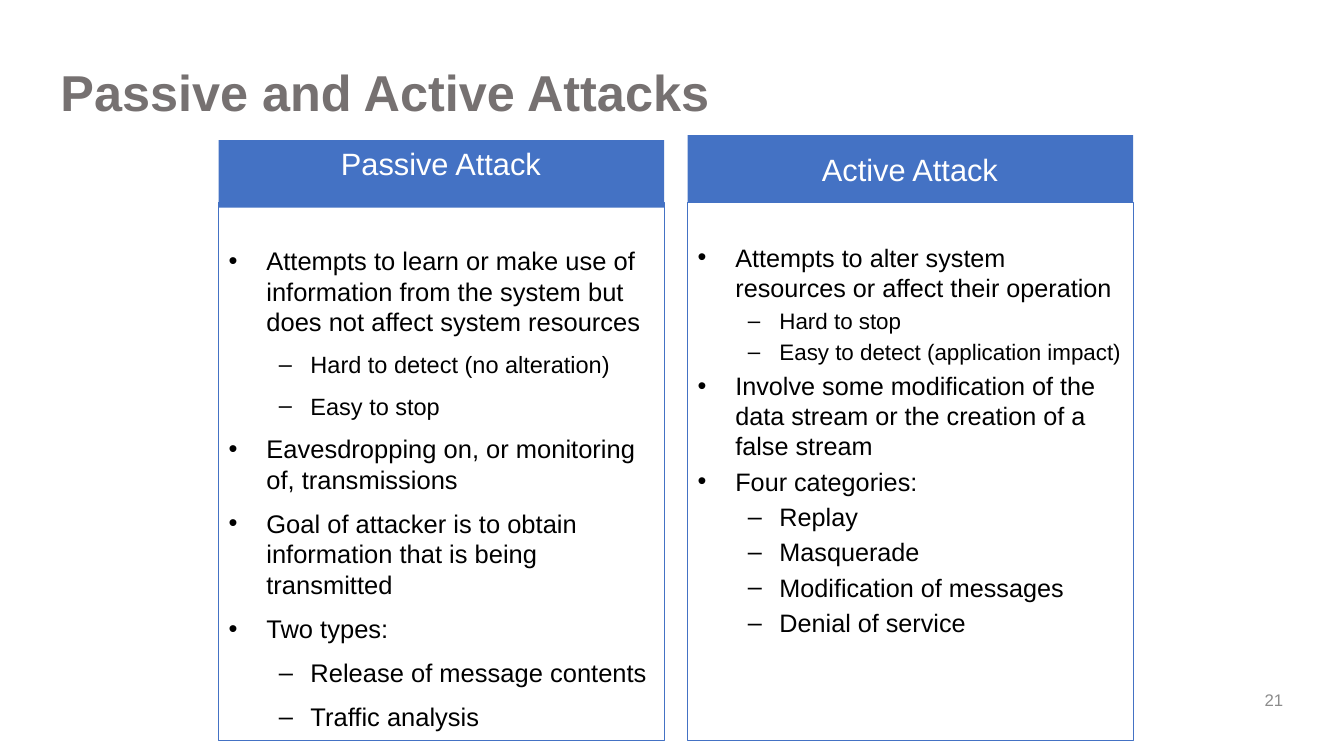
import pptx
import pptx.util
import pptx.dml.color
import pptx.enum.shapes
import pptx.enum.text
import pptx.oxml.ns
import lxml.etree

Pt = pptx.util.Pt
RGB = pptx.dml.color.RGBColor.from_string
ALIGN = pptx.enum.text.PP_ALIGN
ANCHOR = pptx.enum.text.MSO_ANCHOR

TITLE = "Passive and Active Attacks"
PAGE_NUMBER = "21"

# Each point is (outline level, size name, text).
COLUMNS = [
    {
        "heading": "Passive Attack", "anchor": ANCHOR.TOP, "heading_top": 100.1,
        "sizes": {"main": 18.2, "minor": 16.8}, "space_after": 6, "inset": 30.3,
        "points": [
            (0, "main", "Attempts to learn or make use of information from the system "
                        "but does not affect system resources"),
            (1, "minor", "Hard to detect (no alteration)"),
            (1, "minor", "Easy to stop"),
            (0, "main", "Eavesdropping on, or monitoring of, transmissions"),
            (0, "main", "Goal of attacker is to obtain information that is being transmitted"),
            (0, "main", "Two types:"),
            (1, "main", "Release of message contents"),
            (1, "main", "Traffic analysis"),
        ],
    },
    {
        "heading": "Active Attack", "anchor": ANCHOR.MIDDLE, "heading_top": 96.5,
        "sizes": {"main": 18, "minor": 16}, "space_after": 0, "inset": 28,
        "points": [
            (0, "main", "Attempts to alter system resources or affect their operation"),
            (1, "minor", "Hard to stop"),
            (1, "minor", "Easy to detect (application impact)"),
            (0, "main", "Involve some modification of the data stream or the creation "
                        "of a false stream"),
            (0, "main", "Four categories:"),
            (1, "main", "Replay"),
            (1, "main", "Masquerade"),
            (1, "main", "Modification of messages"),
            (1, "main", "Denial of service"),
        ],
    },
]

THEME = {
    "font": "Arial",
    "blue": "4472C4", "white": "FFFFFF", "black": "000000",
    "title_gray": "767171", "number_gray": "8C8C8C",
    "title": 36, "heading": 22, "number": 12,
}
BULLETS = [("•", 27, -27), ("–", 58.5, -22.5)]  # character, margin, indent
COLUMN_LEFT, COLUMN_STEP, COLUMN_WIDTH = 156.2, 335, 318.2
HEADING_HEIGHT, BODY_TOP, BODY_HEIGHT = 48.2, 144.9, 384.3
SPACE_BEFORE = 0.2  # share of the type size


def assign(obj, values):
    for name, value in values.items():
        setattr(obj, name, value)


def set_frame(tf, anchor, top=3.6):
    assign(tf, {
        "word_wrap": True, "auto_size": pptx.enum.text.MSO_AUTO_SIZE.NONE,
        "vertical_anchor": anchor, "margin_left": Pt(7.2), "margin_right": Pt(7.8),
        "margin_top": Pt(top), "margin_bottom": Pt(3.6),
    })


def write(p, text, size, color, bold=False, **layout):
    r = p.add_run()
    r.text = text
    assign(p, layout)
    assign(r.font, {"name": THEME["font"], "size": Pt(size), "bold": bold})
    r.font.color.rgb = RGB(color)


def add_bullet(p, level):
    char, margin, indent = BULLETS[level]
    p.level = level
    pPr = p._p.get_or_add_pPr()
    pPr.set("marL", str(Pt(margin)))
    pPr.set("indent", str(Pt(indent)))
    for tag, key, value in (("a:buFont", "typeface", THEME["font"]), ("a:buChar", "char", char)):
        lxml.etree.SubElement(pPr, pptx.oxml.ns.qn(tag)).set(key, value)


def add_box(slide, left, top, height):
    sp = slide.shapes.add_shape(pptx.enum.shapes.MSO_SHAPE.RECTANGLE,
                                Pt(left), Pt(top), Pt(COLUMN_WIDTH), Pt(height))
    sp.shadow.inherit = False
    return sp


def add_heading(slide, column, left):
    sp = add_box(slide, left, column["heading_top"], HEADING_HEIGHT)
    sp.fill.solid()
    sp.fill.fore_color.rgb = RGB(THEME["blue"])
    sp.line.fill.background()
    set_frame(sp.text_frame, column["anchor"])
    write(sp.text_frame.paragraphs[0], column["heading"], THEME["heading"], THEME["white"],
          alignment=ALIGN.CENTER)


def add_body(slide, column, left):
    sp = add_box(slide, left, BODY_TOP, BODY_HEIGHT)
    sp.fill.background()
    sp.line.color.rgb = RGB(THEME["blue"])
    sp.line.width = Pt(0.75)
    tf = sp.text_frame
    set_frame(tf, ANCHOR.TOP, column["inset"])
    for i, (level, size_name, text) in enumerate(column["points"]):
        p = tf.add_paragraph() if i else tf.paragraphs[0]
        size = column["sizes"][size_name]
        add_bullet(p, level)
        write(p, text, size, THEME["black"], alignment=ALIGN.LEFT, line_spacing=1.0,
              space_before=Pt(size * SPACE_BEFORE if i else 0),
              space_after=Pt(column["space_after"]))


def main():
    prs = pptx.Presentation()
    assign(prs, {"slide_width": Pt(960), "slide_height": Pt(540)})
    slide = prs.slides.add_slide(prs.slide_layouts[5])

    title = slide.shapes.title
    assign(title, {"left": Pt(36), "top": Pt(44.6), "width": Pt(888), "height": Pt(58.3)})
    set_frame(title.text_frame, ANCHOR.TOP, 4.1)
    write(title.text_frame.paragraphs[0], TITLE, THEME["title"], THEME["title_gray"], True,
          alignment=ALIGN.LEFT, line_spacing=0.9)

    for i, column in enumerate(COLUMNS):
        left = COLUMN_LEFT + i * COLUMN_STEP
        add_heading(slide, column, left)
        add_body(slide, column, left)

    number = slide.shapes.add_textbox(Pt(712.8), Pt(488.9), Pt(211.7), Pt(21.6))
    set_frame(number.text_frame, ANCHOR.MIDDLE)
    write(number.text_frame.paragraphs[0], PAGE_NUMBER, THEME["number"], THEME["number_gray"],
          alignment=ALIGN.RIGHT)
    prs.save("out.pptx")


if __name__ == "__main__":
    main()
